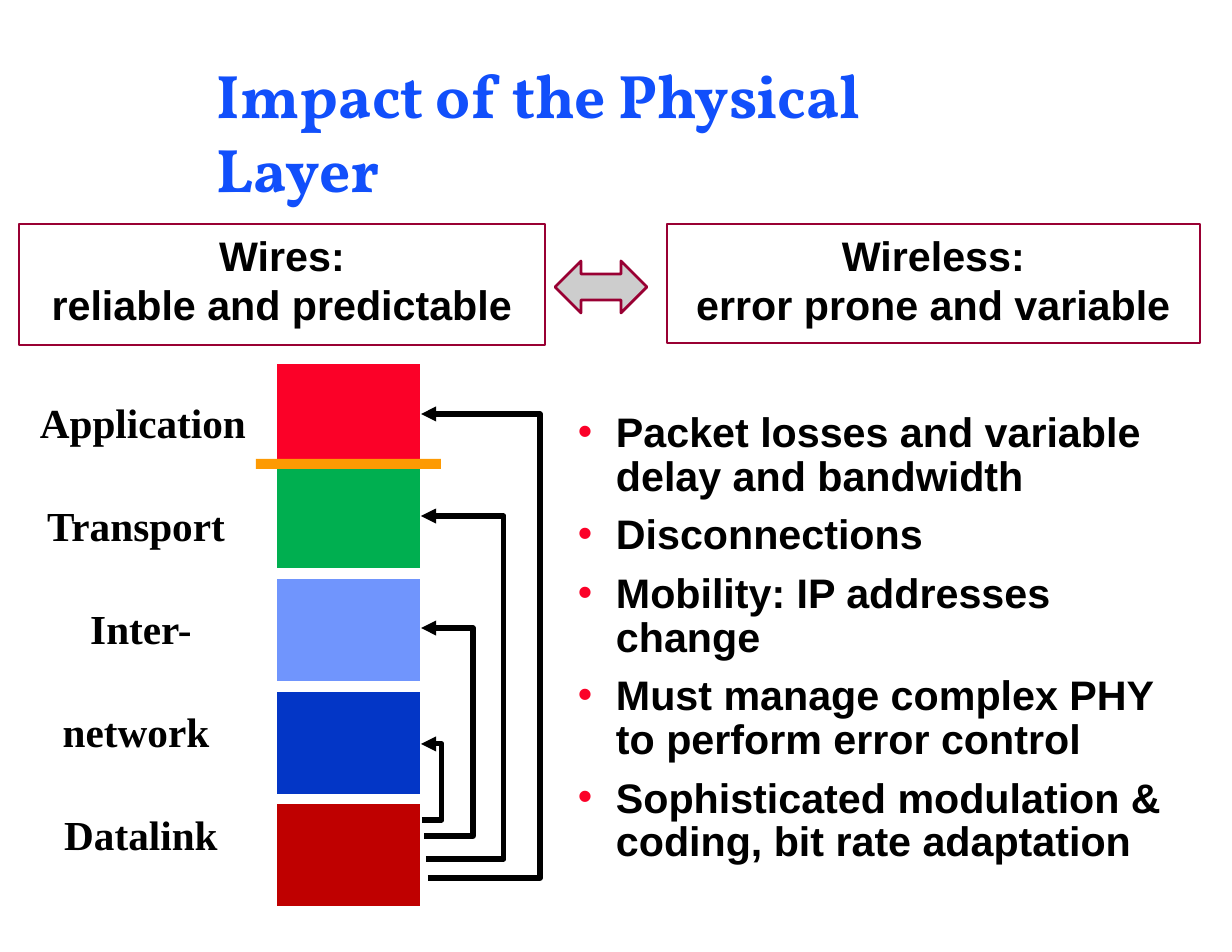
from dataclasses import dataclass

import pptx
import pptx.dml.color
import pptx.enum.shapes
import pptx.enum.text
import pptx.oxml
import pptx.oxml.ns
import pptx.util

RGBColor = pptx.dml.color.RGBColor
Shapes = pptx.enum.shapes.MSO_SHAPE
Align = pptx.enum.text.PP_ALIGN

EMU_PER_PX = 914400 / 112
BLACK = RGBColor(0x00, 0x00, 0x00)
TITLE_BLUE = RGBColor(0x11, 0x4F, 0xFB)
MAROON = RGBColor(0x99, 0x00, 0x33)
RED = RGBColor(0xFB, 0x01, 0x28)
GREEN = RGBColor(0x00, 0xAF, 0x50)
LIGHT_BLUE = RGBColor(0x70, 0x95, 0xFD)
DARK_BLUE = RGBColor(0x03, 0x36, 0xC6)
DARK_RED = RGBColor(0xBF, 0x00, 0x00)
ORANGE = RGBColor(0xFD, 0x9A, 0x03)
GREY = RGBColor(0xCD, 0xCD, 0xCD)

BODY_SIZE = 26.5
LABEL_TOP, LABEL_PITCH = 397, 103
LABEL_WIDTH, LABEL_HEIGHT = 240, 48
BLOCK_LEFT, BLOCK_WIDTH, BLOCK_HEIGHT = 277, 143, 102
ARROW_TIP_X = 421
BULLET_INDENT = 38


@dataclass(frozen=True)
class Box:
    left: int
    top: int
    width: int
    height: int


@dataclass(frozen=True)
class Header:
    box: Box
    lines: tuple[str, str]


@dataclass(frozen=True)
class Layer:
    label: str
    label_center: int
    block_top: int
    color: RGBColor


@dataclass(frozen=True)
class Feedback:
    """An arrow from the bottom block around to a higher one."""
    start_x: int
    start_y: int
    bend_x: int
    target_y: int


HEADERS = [
    Header(Box(19, 224, 526, 121), ("Wires:", "reliable and predictable")),
    Header(Box(667, 224, 533, 119), ("Wireless:", "error prone and variable")),
]
LAYERS = [
    Layer("Application", 143, 364, RED),
    Layer("Transport", 136, 466, GREEN),
    Layer("Inter-", 141, 579, LIGHT_BLUE),
    Layer("network", 136, 692, DARK_BLUE),
    Layer("Datalink", 141, 804, DARK_RED),
]
FEEDBACKS = [
    Feedback(422, 820, 442, 744),
    Feedback(424, 836, 473, 628),
    Feedback(426, 859, 504, 516),
    Feedback(428, 878, 540, 414),
]
EFFECTS = [
    "Packet losses and variable delay and bandwidth",
    "Disconnections",
    "Mobility: IP addresses change",
    "Must manage complex PHY to perform error control",
    "Sophisticated modulation & coding, bit rate adaptation",
]


def px(length: int) -> pptx.util.Emu:
    return pptx.util.Emu(round(length * EMU_PER_PX))


def place(box: Box) -> tuple:
    return px(box.left), px(box.top), px(box.width), px(box.height)


def prepare_frame(shape, top_inset: int = 0):
    frame = shape.text_frame
    frame.word_wrap = True
    frame.vertical_anchor = pptx.enum.text.MSO_ANCHOR.TOP
    frame.margin_left = frame.margin_right = frame.margin_bottom = 0
    frame.margin_top = px(top_inset)
    return frame


def style_font(paragraph, name: str, size: float, color: RGBColor) -> None:
    paragraph.font.name = name
    paragraph.font.size = pptx.util.Pt(size)
    paragraph.font.bold = True
    paragraph.font.color.rgb = color


def add_text(slide, box: Box, text: str, font: str, size: float,
             color: RGBColor, align) -> None:
    frame = prepare_frame(slide.shapes.add_textbox(*place(box)))
    paragraph = frame.paragraphs[0]
    paragraph.text = text
    paragraph.alignment = align
    style_font(paragraph, font, size, color)


def add_block(slide, box: Box, color: RGBColor) -> None:
    shape = slide.shapes.add_shape(Shapes.RECTANGLE, *place(box))
    shape.shadow.inherit = False
    shape.fill.solid()
    shape.fill.fore_color.rgb = color
    shape.line.fill.background()


def add_header(slide, header: Header) -> None:
    shape = slide.shapes.add_shape(Shapes.RECTANGLE, *place(header.box))
    shape.shadow.inherit = False
    shape.fill.background()
    shape.line.color.rgb = MAROON
    shape.line.width = pptx.util.Pt(1.5)
    frame = prepare_frame(shape, top_inset=6)
    for index, line in enumerate(header.lines):
        paragraph = frame.add_paragraph() if index else frame.paragraphs[0]
        paragraph.text = line
        paragraph.alignment = Align.CENTER
        paragraph.line_spacing = pptx.util.Pt(31.7)
        style_font(paragraph, "Arial", BODY_SIZE, BLACK)


def add_double_arrow(slide, box: Box) -> None:
    arrow = slide.shapes.add_shape(Shapes.LEFT_RIGHT_ARROW, *place(box))
    arrow.shadow.inherit = False
    arrow.fill.solid()
    arrow.fill.fore_color.rgb = GREY
    arrow.line.color.rgb = MAROON
    arrow.line.width = pptx.util.Pt(1.75)


def add_feedback(slide, feedback: Feedback) -> None:
    builder = slide.shapes.build_freeform(
        feedback.start_x, feedback.start_y, scale=EMU_PER_PX)
    builder.add_line_segments([
        (feedback.bend_x, feedback.start_y),
        (feedback.bend_x, feedback.target_y),
        (ARROW_TIP_X, feedback.target_y),
    ], close=False)
    shape = builder.convert_to_shape()
    shape.shadow.inherit = False
    shape.fill.background()
    shape.line.color.rgb = BLACK
    shape.line.width = pptx.util.Pt(3.25)
    line = shape.line._get_or_add_ln()
    line.append(pptx.oxml.parse_xml(
        f'<a:tailEnd {pptx.oxml.ns.nsdecls("a")} type="triangle"/>'))


def add_bullet(paragraph) -> None:
    properties = paragraph._p.get_or_add_pPr()
    properties.set("marL", str(px(BULLET_INDENT)))
    properties.set("indent", str(-px(BULLET_INDENT)))
    namespace = pptx.oxml.ns.nsdecls("a")
    for xml in (
        f'<a:buClr {namespace}><a:srgbClr val="{RED}"/></a:buClr>',
        f'<a:buFont {namespace} typeface="Arial"/>',
        f'<a:buChar {namespace} char="•"/>',
    ):
        properties.append(pptx.oxml.parse_xml(xml))


def add_effects(slide, box: Box) -> None:
    frame = prepare_frame(slide.shapes.add_textbox(*place(box)))
    for index, effect in enumerate(EFFECTS):
        paragraph = frame.add_paragraph() if index else frame.paragraphs[0]
        paragraph.text = effect
        add_bullet(paragraph)
        paragraph.line_spacing = pptx.util.Pt(28.1)
        if index:
            paragraph.space_before = pptx.util.Pt(9.6)
        style_font(paragraph, "Arial", BODY_SIZE, BLACK)


def main() -> None:
    presentation = pptx.Presentation()
    presentation.slide_width = px(1232)
    presentation.slide_height = px(952)
    slide = presentation.slides.add_slide(presentation.slide_layouts[6])

    add_text(slide, Box(217, 57, 799, 150), "Impact of the Physical Layer",
             "Vollkorn", 39.5, TITLE_BLUE, Align.LEFT)
    for header in HEADERS:
        add_header(slide, header)
    add_double_arrow(slide, Box(555, 261, 92, 52))

    for index, layer in enumerate(LAYERS):
        add_block(slide, Box(BLOCK_LEFT, layer.block_top, BLOCK_WIDTH,
                             BLOCK_HEIGHT), layer.color)
        label_box = Box(layer.label_center - LABEL_WIDTH // 2,
                        LABEL_TOP + index * LABEL_PITCH,
                        LABEL_WIDTH, LABEL_HEIGHT)
        add_text(slide, label_box, layer.label, "Times New Roman",
                 BODY_SIZE, BLACK, Align.CENTER)
    for feedback in FEEDBACKS:
        add_feedback(slide, feedback)
    add_block(slide, Box(256, 459, 185, 10), ORANGE)

    add_effects(slide, Box(578, 412, 593, 456))
    presentation.save("out.pptx")


if __name__ == "__main__":
    main()
